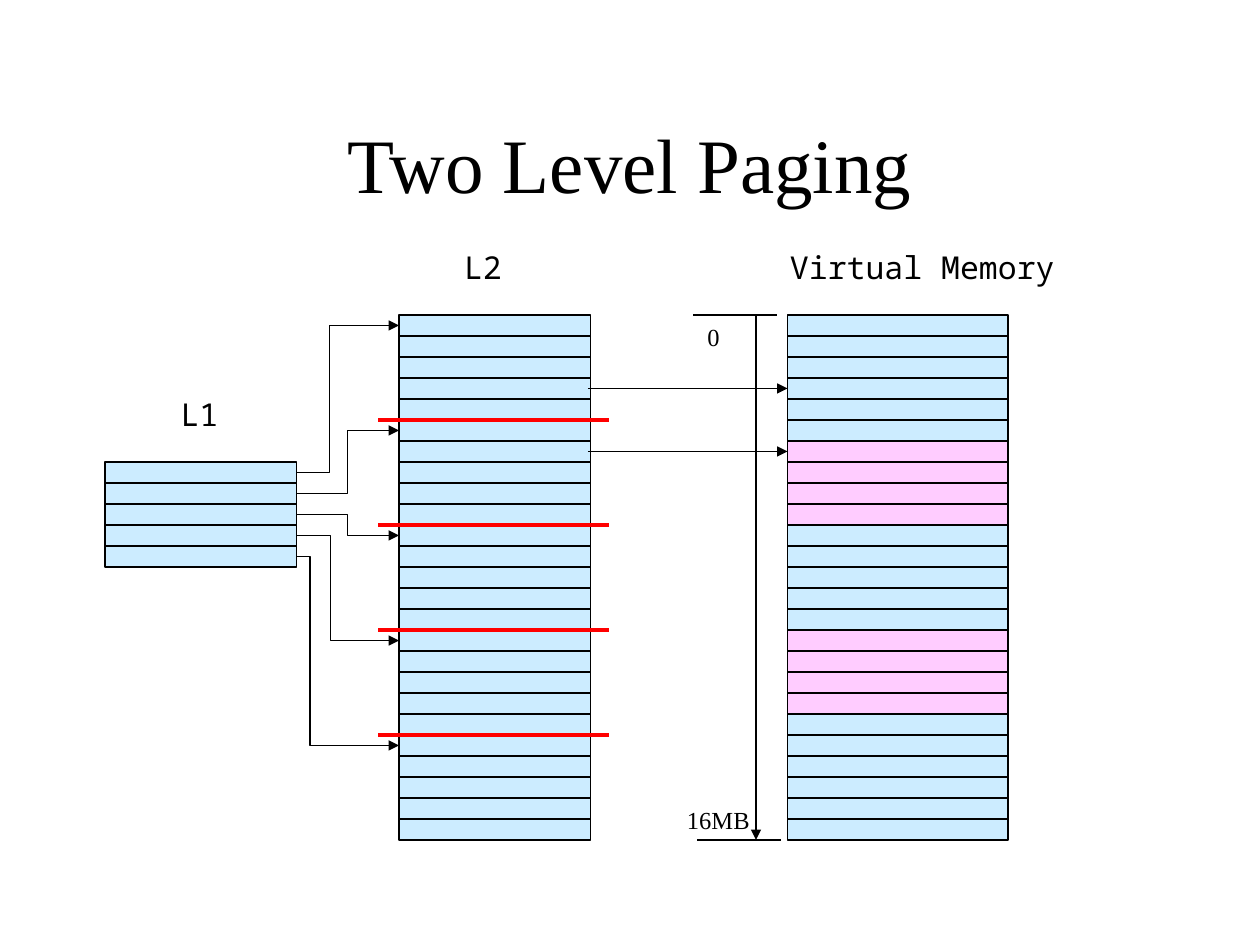
from dataclasses import dataclass

from lxml import etree
from pptx import Presentation
from pptx.dml.color import RGBColor
from pptx.enum import shapes, text
from pptx.oxml import ns
from pptx.util import Pt


@dataclass(frozen=True)
class Theme:
    ink: str = "000000"
    page: str = "CCECFF"
    marked_page: str = "FFCCFF"
    divider: str = "FF0000"
    serif: str = "Times New Roman"
    mono: str = "Noto Sans Mono"
    title_size: float = 44
    heading_size: float = 18
    address_size: float = 14
    thin: float = 0.75
    thick: float = 2.25


@dataclass(frozen=True)
class Table:
    """A stack of equally high page entries."""
    left: float
    top: float
    width: float
    rows: int
    marked: tuple[int, ...] = ()

    @property
    def right(self) -> float:
        return self.left + self.width

    @property
    def bottom(self) -> float:
        return self.edge(self.rows)

    def edge(self, row: int) -> float:
        return self.top + row * ROW

    def middle(self, row: int) -> float:
        return self.edge(row) + ROW / 2


@dataclass(frozen=True)
class Label:
    words: str
    left: float
    top: float
    width: float
    height: float
    size: float
    font: str
    wrap: bool = True


THEME = Theme()
ROW = 12
GROUP = 5  # L2 entries reached from one L1 entry

L1 = Table(60, 264, 109.5, 5)
L2 = Table(228, 180, 109.5, GROUP * L1.rows)
MEMORY = Table(450, 180, 126, 25, marked=(*range(6, 10), *range(15, 19)))

BENDS = (0.32, 0.5, 0.5, 0.33, 0.13)  # turning point of each L1 arrow
MAPPED_ROWS = (3, 6)
AXIS_X = 432

LABELS = (
    Label("Two Level Paging", 54, 48, 612, 90, THEME.title_size, THEME.serif),
    Label("L1", 24, 222, 180, 29, THEME.heading_size, THEME.mono),
    Label("L2", 186, 138, 180, 29, THEME.heading_size, THEME.mono),
    Label("Virtual Memory", 414, 138, 226, 29, THEME.heading_size, THEME.mono),
    Label("0", 395.5, 180, 24.5, 24.5, THEME.address_size, THEME.serif, False),
    Label("16MB", 382.5, 456, 56, 24.5, THEME.address_size, THEME.serif, False),
)


def draw_table(slide, table: Table) -> None:
    for row in range(table.rows):
        entry = slide.shapes.add_shape(
            shapes.MSO_SHAPE.RECTANGLE,
            Pt(table.left), Pt(table.edge(row)), Pt(table.width), Pt(ROW))
        entry.shadow.inherit = False
        entry.fill.solid()
        entry.fill.fore_color.rgb = RGBColor.from_string(
            THEME.marked_page if row in table.marked else THEME.page)
        entry.line.color.rgb = RGBColor.from_string(THEME.ink)
        entry.line.width = Pt(THEME.thin)


def draw_line(slide, start: tuple[float, float], end: tuple[float, float],
              color: str = THEME.ink, width: float = THEME.thin,
              arrow: bool = False, bend: float | None = None) -> None:
    """Draw a straight line, or an elbow turning at the fraction bend."""
    kind = shapes.MSO_CONNECTOR.STRAIGHT if bend is None else shapes.MSO_CONNECTOR.ELBOW
    line = slide.shapes.add_connector(kind, *(Pt(v) for v in (*start, *end)))
    line.line.color.rgb = RGBColor.from_string(color)
    line.line.width = Pt(width)
    properties = line._element.spPr
    if arrow:
        etree.SubElement(properties.find(ns.qn("a:ln")), ns.qn("a:tailEnd"), type="triangle")
    if bend is not None:
        guides = properties.find(ns.qn("a:prstGeom")).find(ns.qn("a:avLst"))
        etree.SubElement(guides, ns.qn("a:gd"), name="adj1", fmla=f"val {round(bend * 100000)}")
    etree.SubElement(properties, ns.qn("a:effectLst"))


def draw_label(slide, label: Label) -> None:
    box = slide.shapes.add_textbox(
        Pt(label.left), Pt(label.top), Pt(label.width), Pt(label.height))
    frame = box.text_frame
    frame.word_wrap = label.wrap
    frame.vertical_anchor = text.MSO_ANCHOR.MIDDLE
    paragraph = frame.paragraphs[0]
    paragraph.text = label.words
    paragraph.alignment = text.PP_ALIGN.CENTER
    paragraph.font.name = label.font
    paragraph.font.size = Pt(label.size)
    paragraph.font.color.rgb = RGBColor.from_string(THEME.ink)


def draw_address_axis(slide) -> None:
    for left, y in ((396, MEMORY.top), (398.5, MEMORY.bottom)):
        draw_line(slide, (left, y), (left + 48, y))
    draw_line(slide, (AXIS_X, MEMORY.top), (AXIS_X, MEMORY.bottom), arrow=True)


def main() -> None:
    deck = Presentation()
    deck.slide_width, deck.slide_height = Pt(720), Pt(540)
    slide = deck.slides.add_slide(deck.slide_layouts[6])

    for table in (MEMORY, L2, L1):
        draw_table(slide, table)
    draw_address_axis(slide)

    for row in MAPPED_ROWS:
        draw_line(slide, (L2.right - 1.5, L2.middle(row)),
                  (MEMORY.left, MEMORY.middle(row)), arrow=True)
    for row in range(GROUP, L2.rows, GROUP):
        draw_line(slide, (216, L2.edge(row)), (348, L2.edge(row)),
                  THEME.divider, THEME.thick)
    for row, bend in enumerate(BENDS):
        draw_line(slide, (L1.right, L1.middle(row)),
                  (L2.left, L2.middle(row * GROUP)), arrow=True, bend=bend)

    for label in LABELS:
        draw_label(slide, label)
    deck.save("out.pptx")


if __name__ == "__main__":
    main()
